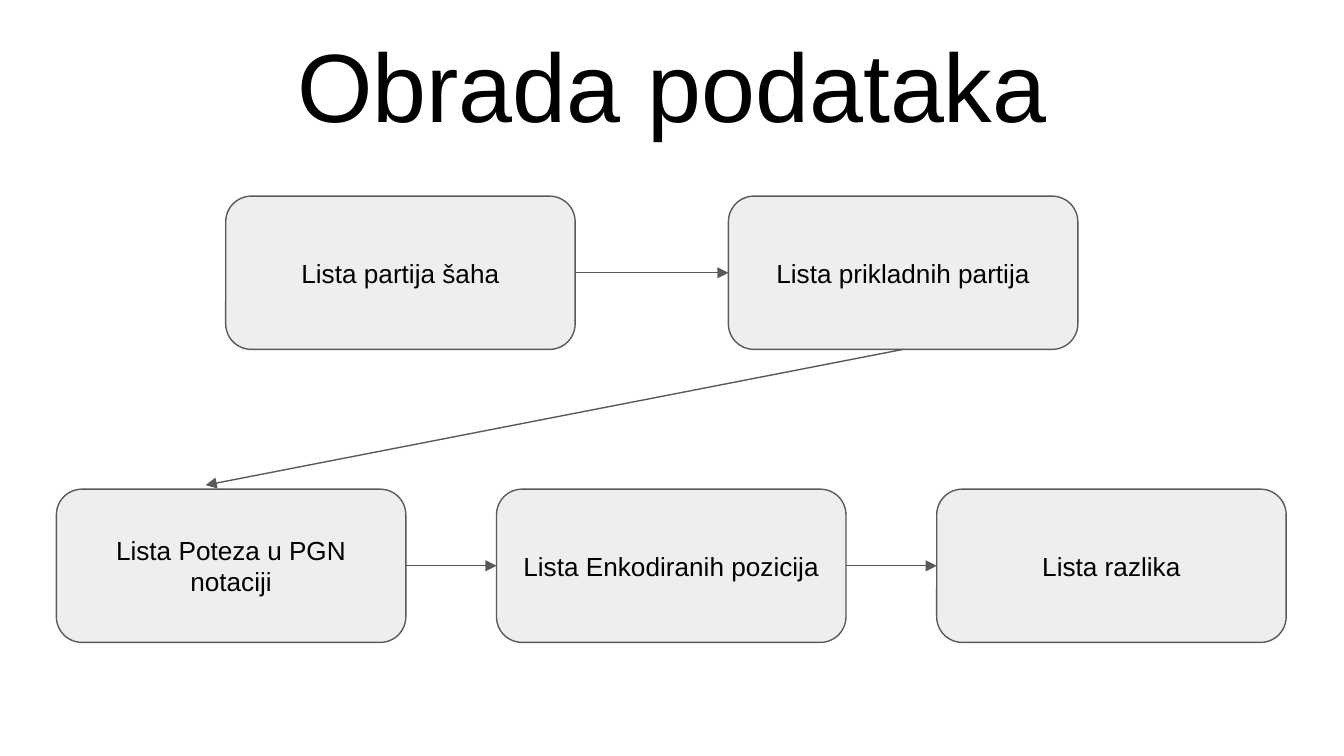
from lxml.etree import SubElement
from pptx import Presentation
from pptx.dml.color import RGBColor
from pptx.enum.shapes import MSO_CONNECTOR as Connector, MSO_SHAPE as Shape
from pptx.enum.text import MSO_ANCHOR as Anchor, PP_ALIGN as Align
from pptx.oxml.ns import qn
from pptx.util import Inches, Pt

WIDTH = 10
HEIGHT = WIDTH * 9 / 16
BOX_WIDTH, BOX_HEIGHT = 2.6, 1.14
FONT = "Arial"
TEXT, FILL, LINE = "000000", "EEEEEE", "595959"
TOP, LEFT, BOTTOM, RIGHT = range(4)  # connection sites of a rounded box


def color(value):
    return RGBColor.from_string(value)


def set_text(shape, text, size, anchor):
    frame = shape.text_frame
    frame.text = text
    frame.word_wrap = True
    frame.vertical_anchor = anchor
    frame.margin_left = frame.margin_right = Inches(0.1)
    frame.margin_top = frame.margin_bottom = Inches(0.1)
    para = frame.paragraphs[0]
    para.alignment = Align.CENTER
    font = para.runs[0].font
    font.name, font.size = FONT, Pt(size)
    font.color.rgb = color(TEXT)


def set_line(shape):
    shape.line.color.rgb = color(LINE)
    shape.line.width = Pt(0.75)


def add_title(page, text, left, top, width, height):
    box = page.shapes.add_textbox(*map(Inches, (left, top, width, height)))
    set_text(box, text, 52, Anchor.BOTTOM)


def add_step(page, text, left, top):
    step = page.shapes.add_shape(
        Shape.ROUNDED_RECTANGLE, *map(Inches, (left, top, BOX_WIDTH, BOX_HEIGHT)))
    step.shadow.inherit = False
    step.fill.solid()
    step.fill.fore_color.rgb = color(FILL)
    set_line(step)
    set_text(step, text, 14, Anchor.MIDDLE)
    return step


def add_arrow(page, start, start_site, end=None, end_site=None, tip=(0, 0)):
    """Glue the arrow to its start, and to its end or else point it at tip."""
    arrow = page.shapes.add_connector(Connector.STRAIGHT, 0, 0, *map(Inches, tip))
    arrow.begin_connect(start, start_site)
    if end is not None:
        arrow.end_connect(end, end_site)
    set_line(arrow)
    SubElement(arrow.line._get_or_add_ln(), qn("a:tailEnd"), type="triangle")
    SubElement(arrow._element.spPr, qn("a:effectLst"))


def add_step_row(page, labels, left, top, width):
    """Spread the steps evenly over the width and link neighbours."""
    pitch = (width - BOX_WIDTH) / (len(labels) - 1)
    steps = [add_step(page, label, left + i * pitch, top)
             for i, label in enumerate(labels)]
    for start, end in zip(steps, steps[1:]):
        add_arrow(page, start, RIGHT, end, LEFT)
    return steps


def build_process_slide(deck):
    page = deck.slides.add_slide(deck.slide_layouts[6])
    add_title(page, "Obrada podataka", 0.34, 0, WIDTH - 2 * 0.34, 1.16)
    upper = add_step_row(
        page, ["Lista partija šaha", "Lista prikladnih partija"], 1.68, 1.46, 6.34)
    add_step_row(
        page,
        ["Lista Poteza u PGN notaciji", "Lista Enkodiranih pozicija", "Lista razlika"],
        0.42, 3.64, 9.15)
    add_arrow(page, upper[-1], BOTTOM, tip=(1.53, 3.61))


def main():
    deck = Presentation()
    deck.slide_width, deck.slide_height = Inches(WIDTH), Inches(HEIGHT)
    build_process_slide(deck)
    deck.save("out.pptx")


if __name__ == "__main__":
    main()
